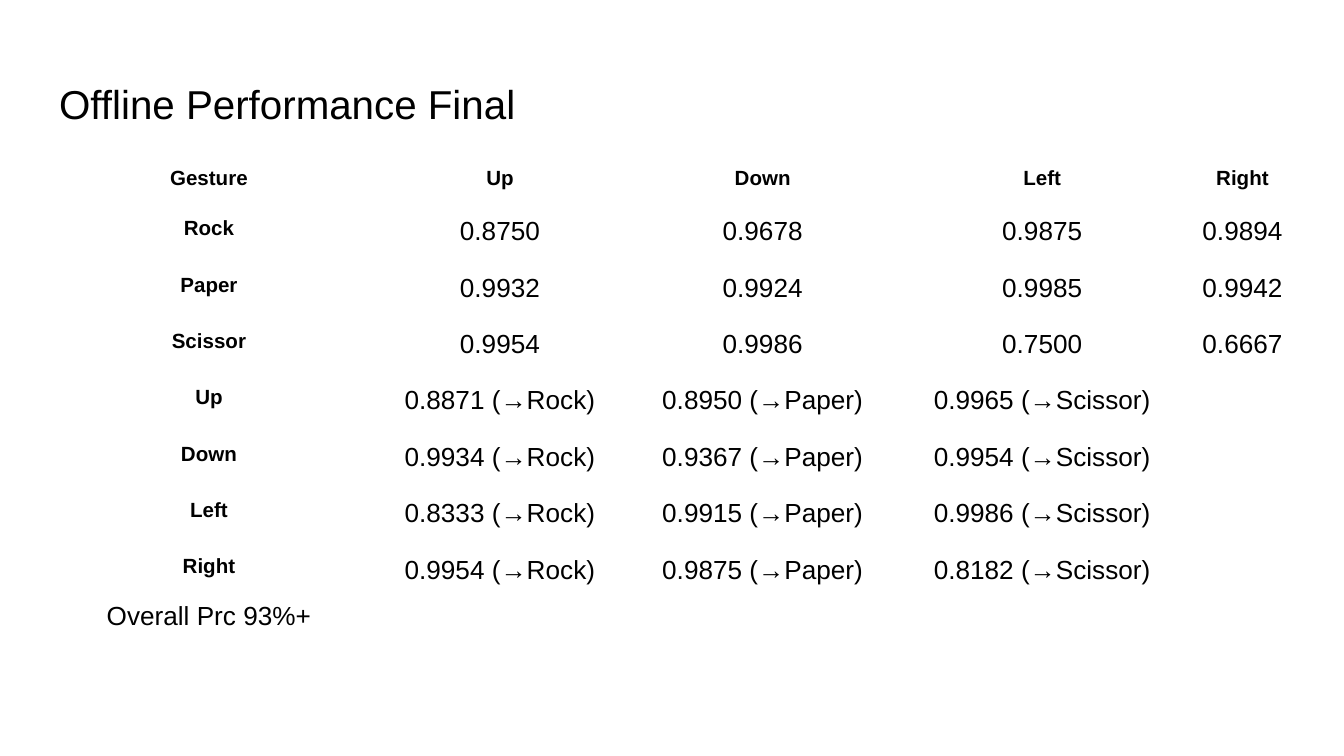
from typing import NamedTuple

from lxml.etree import SubElement
from pptx import Presentation
from pptx.dml.color import RGBColor
from pptx.enum.text import MSO_ANCHOR, PP_ALIGN
from pptx.oxml.ns import qn
from pptx.util import Inches, Pt

BLACK = RGBColor(0x00, 0x00, 0x00)
FONT = "Arial"
LABEL_SIZE = 11
VALUE_SIZE = 14
MARGIN = Inches(0.1)
LEFT, TITLE_TOP, TABLE_TOP = 0.34, 0.49, 1.12
COLUMN_WIDTHS = [2.43, 1.9, 2.01, 2.15, 0.83]
ROW_HEIGHTS = [0.39] + [0.41] * 3 + [0.42] * 3 + [0.95]


class GestureRow(NamedTuple):
    gesture: str
    values: list[str]


def with_targets(*scores: str) -> list[str]:
    """Name the gesture that each transition score leads to."""
    targets = ("Rock", "Paper", "Scissor")
    return [f"{score} (→{target})" for score, target in zip(scores, targets)]


HEADINGS = ["Gesture", "Up", "Down", "Left", "Right"]
ROWS = [
    GestureRow("Rock", ["0.8750", "0.9678", "0.9875", "0.9894"]),
    GestureRow("Paper", ["0.9932", "0.9924", "0.9985", "0.9942"]),
    GestureRow("Scissor", ["0.9954", "0.9986", "0.7500", "0.6667"]),
    GestureRow("Up", with_targets("0.8871", "0.8950", "0.9965")),
    GestureRow("Down", with_targets("0.9934", "0.9367", "0.9954")),
    GestureRow("Left", with_targets("0.8333", "0.9915", "0.9986")),
    GestureRow("Right", with_targets("0.9954", "0.9875", "0.8182")),
]


def write(paragraph, text: str, *, size: float = VALUE_SIZE, bold: bool = False,
          align=PP_ALIGN.CENTER, line_spacing: float = 1.0,
          space_before: float = 0) -> None:
    paragraph.alignment = align
    paragraph.line_spacing = line_spacing
    paragraph.space_before = Pt(space_before)
    run = paragraph.add_run()
    run.text = text
    run.font.name = FONT
    run.font.size = Pt(size)
    run.font.bold = bold
    run.font.color.rgb = BLACK


def set_margins(box) -> None:
    box.margin_left = box.margin_right = MARGIN
    box.margin_top = box.margin_bottom = MARGIN


def add_title(slide, text: str) -> None:
    title = slide.shapes.title
    title.left, title.top = Inches(LEFT), Inches(TITLE_TOP)
    title.width, title.height = Inches(sum(COLUMN_WIDTHS)), Inches(0.63)
    frame = title.text_frame
    frame.word_wrap = True
    frame.vertical_anchor = MSO_ANCHOR.TOP
    set_margins(frame)
    write(frame.paragraphs[0], text, size=21.6, align=PP_ALIGN.LEFT)


def add_results_table(slide):
    table = slide.shapes.add_table(
        len(ROW_HEIGHTS), len(COLUMN_WIDTHS), Inches(LEFT), Inches(TABLE_TOP),
        Inches(sum(COLUMN_WIDTHS)), Inches(sum(ROW_HEIGHTS))).table
    table.first_row = table.horz_banding = False
    for column, width in zip(table.columns, COLUMN_WIDTHS):
        column.width = Inches(width)
    for row, height in zip(table.rows, ROW_HEIGHTS):
        row.height = Inches(height)
    for cell in table.iter_cells():
        cell.fill.background()
        set_margins(cell)

    # Heading row
    for column, heading in enumerate(HEADINGS):
        write(table.cell(0, column).text_frame.paragraphs[0], heading,
              size=LABEL_SIZE, bold=True, line_spacing=1.15)

    # Gesture rows
    for row, entry in enumerate(ROWS, start=1):
        write(table.cell(row, 0).text_frame.paragraphs[0], entry.gesture,
              size=LABEL_SIZE, bold=True)
        for column, value in enumerate(entry.values, start=1):
            write(table.cell(row, column).text_frame.paragraphs[0], value)

    # Small type in the empty cells keeps their rows from growing
    for cell in table.iter_cells():
        if not cell.text_frame.text:
            end = SubElement(cell.text_frame.paragraphs[0]._p, qn("a:endParaRPr"))
            end.set("sz", str(LABEL_SIZE * 100))
    return table


def main() -> None:
    presentation = Presentation()
    presentation.slide_width = Inches(10)
    presentation.slide_height = presentation.slide_width * 9 // 16
    slide = presentation.slides.add_slide(presentation.slide_layouts[5])

    add_title(slide, "Offline Performance Final")
    table = add_results_table(slide)

    # Overall precision below the last gesture
    last_label = table.cell(len(ROWS), 0).text_frame
    write(last_label.add_paragraph(), "Overall Prc 93%+", space_before=12.65)

    presentation.save("out.pptx")


if __name__ == "__main__":
    main()
